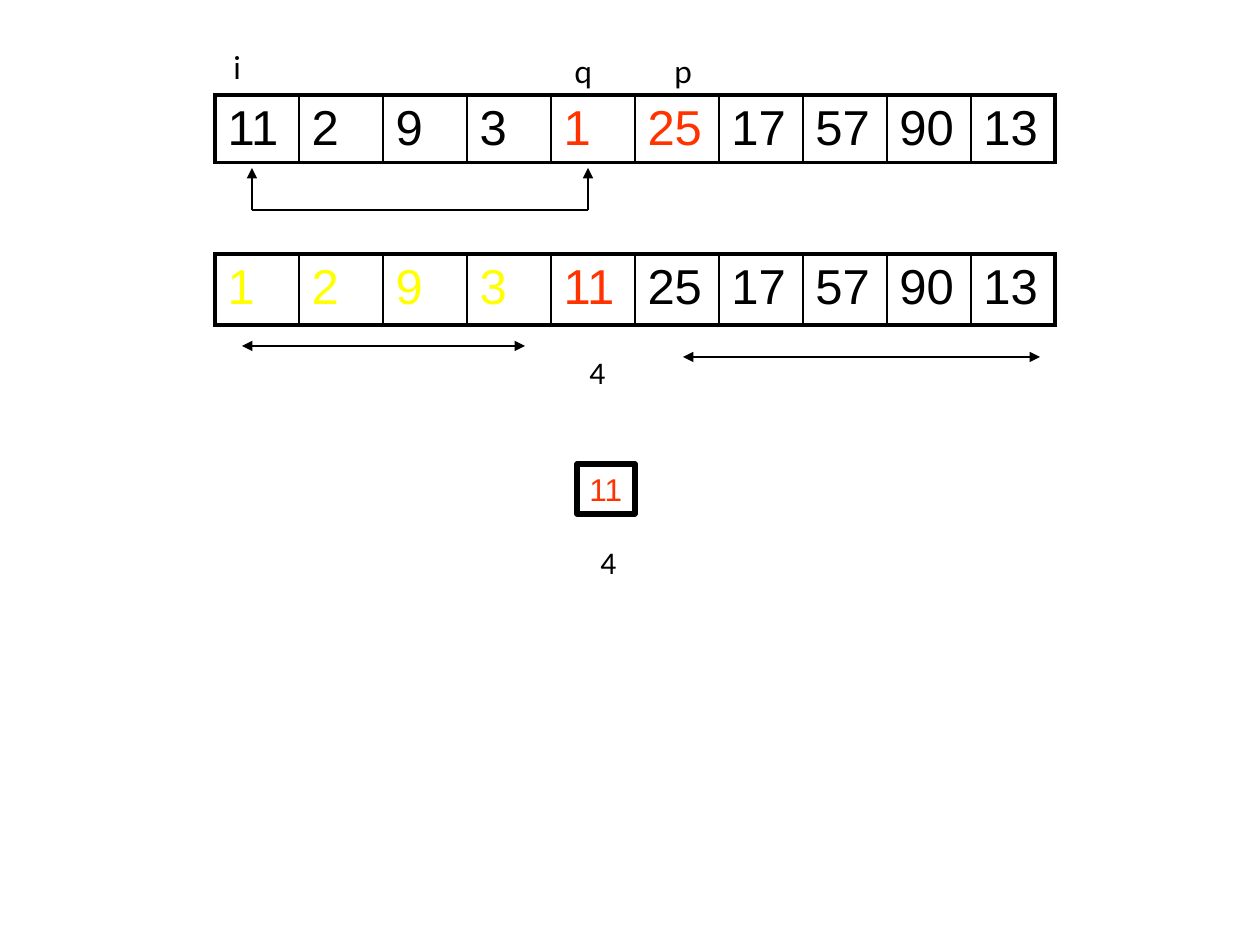
"""Build a slide showing the pivot swap step of quicksort on an array of ten numbers."""
from lxml.etree import SubElement
from pptx import Presentation
from pptx.dml.color import RGBColor
from pptx.enum.shapes import MSO_CONNECTOR, MSO_SHAPE
from pptx.enum.text import MSO_ANCHOR, PP_ALIGN
from pptx.oxml.ns import qn
from pptx.util import Pt

PIXEL = 914400 // 126
BLACK = RGBColor(0x00, 0x00, 0x00)
RED = RGBColor(0xFF, 0x33, 0x00)
YELLOW = RGBColor(0xFF, 0xFF, 0x00)
COLUMN_WIDTH = 84

presentation = Presentation()
presentation.slide_width = 1260 * PIXEL
presentation.slide_height = 945 * PIXEL
slide = presentation.slides.add_slide(presentation.slide_layouts[6])


def write(text_frame, text, size, font_name, color):
    paragraph = text_frame.paragraphs[0]
    paragraph.text = text
    paragraph.alignment = PP_ALIGN.LEFT
    paragraph.font.size = Pt(size)
    paragraph.font.name = font_name
    paragraph.font.color.rgb = color


def add_line(start, end, arrowheads=()):
    points = [value * PIXEL for value in (*start, *end)]
    connector = slide.shapes.add_connector(MSO_CONNECTOR.STRAIGHT, *points)
    connector.line.color.rgb = BLACK
    connector.line.width = Pt(0.75)
    outline = connector.line._get_or_add_ln()
    for arrowhead in arrowheads:
        SubElement(outline, qn(f"a:{arrowhead}"), type="triangle")
    SubElement(connector._element.spPr, qn("a:effectLst"))


arrays = [
    (95, 66, [11, 2, 9, 3, 1, 25, 17, 57, 90, 13], [BLACK] * 4 + [RED] * 2 + [BLACK] * 4),
    (254, 71, [1, 2, 9, 3, 11, 25, 17, 57, 90, 13], [YELLOW] * 4 + [RED] + [BLACK] * 5),
]
for top, height, numbers, colors in arrays:
    count = len(numbers)
    frame = slide.shapes.add_table(
        1, count, 215 * PIXEL, top * PIXEL, count * COLUMN_WIDTH * PIXEL, height * PIXEL
    )
    table = frame.table
    table.first_row = False
    table.horz_banding = False
    for index, (number, color) in enumerate(zip(numbers, colors)):
        table.columns[index].width = COLUMN_WIDTH * PIXEL
        cell = table.cell(0, index)
        write(cell.text_frame, str(number), 28, "Arial", color)
        borders = {
            "lnL": 2.25 if index == 0 else 1,
            "lnR": 2.25 if index == count - 1 else 1,
            "lnT": 2.25,
            "lnB": 2.25,
        }
        properties = cell._tc.get_or_add_tcPr()
        for side, width in borders.items():
            border = SubElement(properties, qn(f"a:{side}"), w=str(Pt(width)))
            fill = SubElement(border, qn("a:solidFill"))
            SubElement(fill, qn("a:srgbClr"), val=str(BLACK))
        cell.fill.background()

labels = [
    ("i", 221, 42, 53, "Lato", True),
    ("p", 662, 46, 53, "Lato", True),
    ("q", 562, 46, 53, "Lato", True),
    ("4", 577, 347, 42, "Calibri", False),
    ("4", 588, 537, 42, "Calibri", False),
]
for text, left, top, width, font_name, wrap in labels:
    label = slide.shapes.add_textbox(left * PIXEL, top * PIXEL, width * PIXEL, 50 * PIXEL)
    label.text_frame.word_wrap = wrap
    write(label.text_frame, text, 18, font_name, BLACK)

for x in (252, 588):
    add_line((x, 210), (x, 168), ["tailEnd"])
add_line((252, 210), (588, 210))
for left, right, y in [(242, 525, 346), (683, 1040, 357)]:
    add_line((left, y), (right, y), ["headEnd", "tailEnd"])

pivot = slide.shapes.add_shape(
    MSO_SHAPE.RECTANGLE, 577 * PIXEL, 464 * PIXEL, 58 * PIXEL, 50 * PIXEL
)
pivot.shadow.inherit = False
pivot.fill.background()
pivot.line.color.rgb = BLACK
pivot.line.width = Pt(3)
pivot.text_frame.word_wrap = False
pivot.text_frame.vertical_anchor = MSO_ANCHOR.MIDDLE
write(pivot.text_frame, "11", 18, "Arial", RED)

presentation.save("out.pptx")
